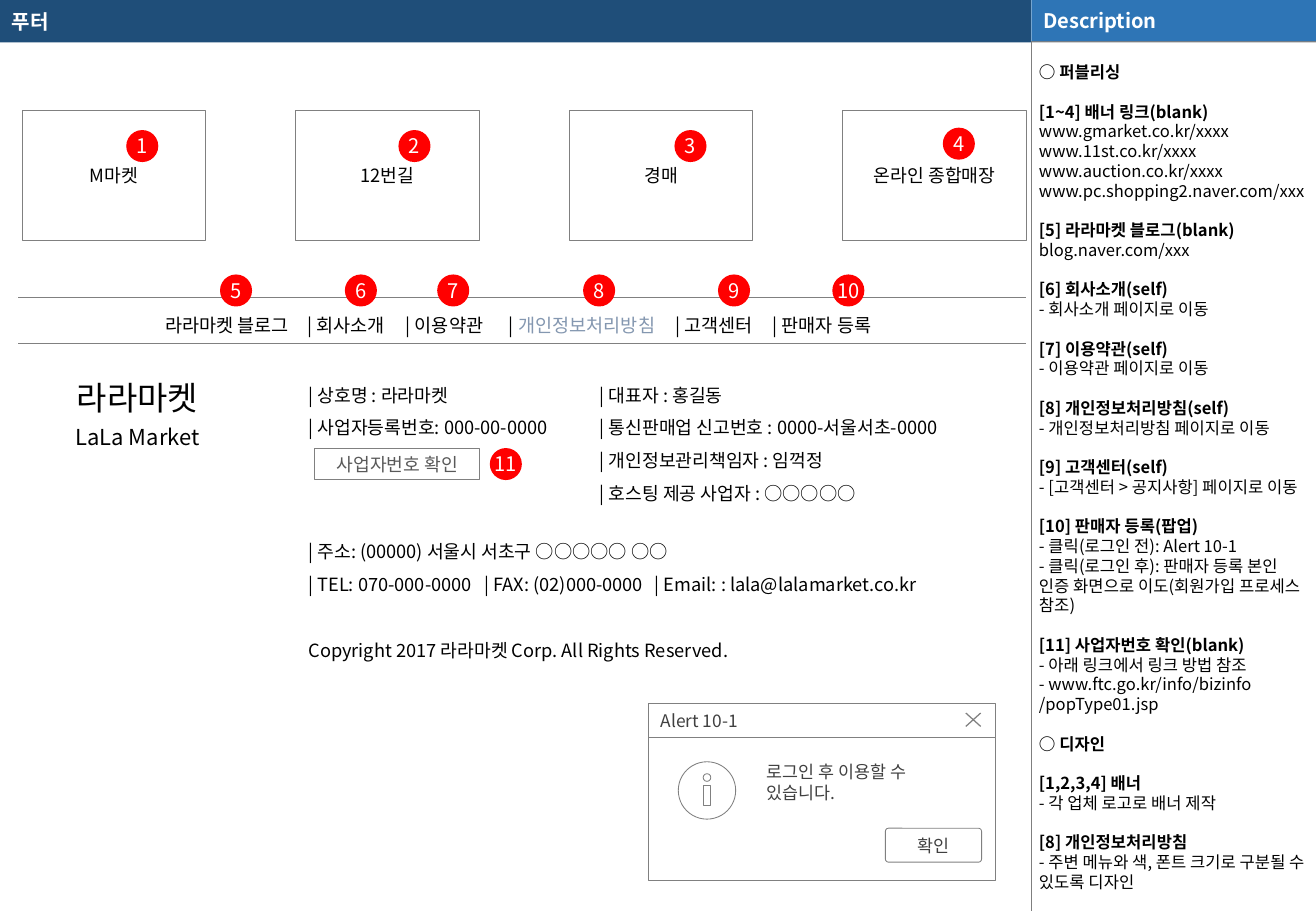
from lxml.etree import SubElement
from pptx import Presentation
from pptx.dml.color import RGBColor
from pptx.enum.shapes import MSO_CONNECTOR, MSO_SHAPE as Kind
from pptx.enum.text import MSO_ANCHOR as Anchor, PP_ALIGN as Align
from pptx.oxml.ns import qn
from pptx.util import Cm, Pt

FONT = "Noto Sans CJK KR"
GRAY = "808080"
DARK = "404040"
BLACK = "000000"
WHITE = "FFFFFF"
LINE_RATIO = 1.195
BADGE = 0.67


def rgb(value):
    return RGBColor.from_string(value)


def write(frame, lines, size, color=BLACK, bold=False, align=Align.LEFT,
          spacing=1, gaps=(), tabs=(), insets=(0.25, 0.13, 0.25, 0.13)):
    """Fill a frame; a line is a string or a list of (text, colour, bold).

    Lines whose index is in gaps follow a gap one line high.
    """
    frame.word_wrap = True
    (frame.margin_left, frame.margin_top,
     frame.margin_right, frame.margin_bottom) = map(Cm, insets)
    pitch = Pt(round(size * LINE_RATIO * spacing, 1))
    for index, line in enumerate(lines):
        para = frame.add_paragraph() if index else frame.paragraphs[0]
        para.alignment = align
        para.line_spacing = pitch
        if index in gaps:
            para.space_before = pitch
        if tabs:
            stops = SubElement(para._p.get_or_add_pPr(), qn("a:tabLst"))
            for stop in tabs:
                SubElement(stops, qn("a:tab"), pos=str(Cm(stop)), algn="l")
        font = para.font
        font.name, font.size, font.bold = FONT, Pt(size), bold
        font.color.rgb = rgb(color)
        SubElement(para._p.pPr.find(qn("a:defRPr")), qn("a:ea"), typeface=FONT)
        if isinstance(line, str):
            para.add_run().text = line
            continue
        for text, span_color, span_bold in line:
            span = para.add_run()
            span.text = text
            span.font.color.rgb = rgb(span_color)
            span.font.bold = span_bold


def add_text(page, left, top, width, height, lines, size, **style):
    box = page.shapes.add_textbox(Cm(left), Cm(top), Cm(width), Cm(height))
    write(box.text_frame, lines, size, **style)
    return box


def add_block(page, left, top, width, height, fill=None, line=None,
              kind=Kind.RECTANGLE, label=None, size=10.8, **style):
    block = page.shapes.add_shape(kind, Cm(left), Cm(top), Cm(width), Cm(height))
    block.shadow.inherit = False
    if fill:
        block.fill.solid()
        block.fill.fore_color.rgb = rgb(fill)
    else:
        block.fill.background()
    if line:
        block.line.color.rgb = rgb(line)
        block.line.width = Pt(0.5)
    else:
        block.line.fill.background()
    if label:
        write(block.text_frame, [label], size, **{"align": Align.CENTER, **style})
        block.text_frame.vertical_anchor = Anchor.MIDDLE
    return block


def add_line(page, x1, y1, x2, y2, color, width):
    line = page.shapes.add_connector(MSO_CONNECTOR.STRAIGHT,
                                     Cm(x1), Cm(y1), Cm(x2), Cm(y2))
    line.line.color.rgb = rgb(color)
    line.line.width = Pt(width)
    SubElement(line._element.spPr, qn("a:effectLst"))


def add_badge(page, left, top, number):
    badge = add_block(page, left, top, BADGE, BADGE, "FF0000", kind=Kind.OVAL,
                      label=str(number), size=11.9, color=WHITE,
                      insets=(0, 0, 0, 0))
    badge.text_frame.word_wrap = False


def add_header(page, split, width, height, page_height):
    add_block(page, 0, 0, split, height, "1F4E79")
    add_block(page, split, 0, width - split, height, GRAY)
    add_line(page, split, 0, split, height, WHITE, 0.25)
    add_line(page, split, height - 0.03, split, page_height, "7F7F7F", 0.25)
    heading = {"size": 11.9, "color": WHITE, "bold": True, "align": Align.LEFT}
    add_block(page, split, 0, width - split, height - 0.03, "2E75B6",
              label="Description", **heading)
    title = add_text(page, 0, 0, split - 0.6, height, ["푸터"], **heading)
    title.text_frame.vertical_anchor = Anchor.MIDDLE


def add_banners(page, left, top, pitch):
    banners = [("M마켓", 2.18, 0.41), ("12번길", 2.15, 0.41),
               ("경매", 2.2, 0.41), ("온라인 종합매장", 2.09, 0.36)]
    for index, (name, badge_x, badge_y) in enumerate(banners):
        x = left + index * pitch
        add_block(page, x, top, 3.84, 2.72, line=GRAY, label=name)
        add_badge(page, x + badge_x, top + badge_y, index + 1)


def add_menu(page, left, top, width, height):
    frame = page.shapes.add_table(1, 1, Cm(left), Cm(top), Cm(width), Cm(height))
    table = frame.table
    table.first_row = table.horz_banding = False
    cell = table.cell(0, 0)
    items = [("라라마켓 블로그\t| 회사소개\t| 이용약관\t| ", BLACK, False),
             ("개인정보처리방침", "8497B0", False),
             ("\t| 고객센터\t| 판매자 등록", BLACK, False)]
    write(cell.text_frame, [items], 11, spacing=1.5,
          tabs=(2.97, 5.03, 7.19, 10.67, 12.7))
    cell.margin_left, cell.margin_right = Cm(3.09), Cm(0.28)
    cell.vertical_anchor = Anchor.MIDDLE
    borders = [("L", WHITE, 1), ("R", WHITE, 1), ("T", GRAY, 0.5), ("B", GRAY, 0.5)]
    props = cell._tc.get_or_add_tcPr()
    for side, color, weight in borders:
        border = SubElement(props, qn(f"a:ln{side}"), w=str(Pt(weight)))
        SubElement(SubElement(border, qn("a:solidFill")), qn("a:srgbClr"), val=color)
    cell.fill.background()
    for number, x in enumerate((4.24, 6.85, 8.78, 11.83, 14.65, 17.04), 5):
        add_badge(page, left + x, top - 0.48, number)


def add_company(page, left, top):
    add_text(page, left, top + 0.1, 3.71, 1.09, ["라라마켓"], 19.5, align=Align.CENTER)
    add_text(page, left, top + 1.07, 3.71, 0.81, ["LaLa Market"], 13, align=Align.CENTER)
    details = left + 5.18
    add_text(page, details, top, 6.65, 1.65,
             ["| 상호명 : 라라마켓", "| 사업자등록번호: 000-00-0000"], 10.8, spacing=1.5)
    add_text(page, left + 11.27, top, 9.22, 3.02,
             ["| 대표자 : 홍길동", "| 통신판매업 신고번호 : 0000-서울서초-0000",
              "| 개인정보관리책임자 : 임꺽정", "| 호스팅 제공 사업자 : ○○○○○"],
             10.8, spacing=1.5)
    add_text(page, details, top + 3.28, 14.91, 3.02,
             ["| 주소: (00000) 서울시 서초구 ○○○○○ ○○",
              "| TEL: 070-000-0000\t| FAX: (02)000-0000\t| Email: : lala@lalamarket.co.kr",
              "Copyright 2017 라라마켓 Corp. All Rights Reserved."],
             10.8, spacing=1.5, gaps=(2,), tabs=(3.68, 7.24))
    add_block(page, details + 0.38, top + 1.7, 3.45, 0.66, line=GRAY,
              label="사업자번호 확인", color="595959")
    add_badge(page, details + 4.04, top + 1.7, 11)


def add_alert(page, left, top, width, height):
    bar = 0.71
    add_block(page, left, top + bar, width, height - bar, WHITE, GRAY)
    add_block(page, left, top, width, bar, WHITE, GRAY, label="Alert 10-1",
              size=10.3, color=DARK, align=Align.LEFT)
    x, y = left + width - 0.63, top + 0.2
    add_line(page, x, y, x + 0.31, y + 0.28, GRAY, 0.75)
    add_line(page, x, y + 0.28, x + 0.31, y, GRAY, 0.75)
    x, y = left + 0.62, top + 1.22
    add_block(page, x, y, 1.2, 1.2, line=GRAY, kind=Kind.OVAL)
    add_block(page, x + 0.52, y + 0.25, 0.16, 0.16, line=GRAY, kind=Kind.OVAL)
    add_block(page, x + 0.53, y + 0.5, 0.14, 0.41, line=GRAY)
    add_text(page, left + 2.24, top + 1.11, 4.47, 1.3,
             ["로그인 후 이용할 수 있습니다."], 10.3, color=DARK,
             insets=(0.23, 0.1, 0.23, 0.1))
    button = add_block(page, left + 4.95, top + 2.61, 2.01, 0.71, WHITE, GRAY,
                       Kind.ROUNDED_RECTANGLE, "확인", 10.3, color=DARK)
    button.adjustments[0] = 0.09


def add_description(page, left, top, width, height):
    groups = [
        ("○ 퍼블리싱",),
        ("[1~4] 배너 링크(blank)", "www.gmarket.co.kr/xxxx", "www.11st.co.kr/xxxx",
         "www.auction.co.kr/xxxx", "www.pc.shopping2.naver.com/xxx"),
        ("[5] 라라마켓 블로그(blank)", "blog.naver.com/xxx"),
        ("[6] 회사소개(self)", "- 회사소개 페이지로 이동"),
        ("[7] 이용약관(self)", "- 이용약관 페이지로 이동"),
        ("[8] 개인정보처리방침(self)", "- 개인정보처리방침 페이지로 이동"),
        ("[9] 고객센터(self)", "- [고객센터 > 공지사항] 페이지로 이동"),
        ("[10] 판매자 등록(팝업)", "- 클릭(로그인 전): Alert 10-1",
         "- 클릭(로그인 후): 판매자 등록 본인 인증 화면으로 이도(회원가입 프로세스 참조)"),
        ("[11] 사업자번호 확인(blank)", "- 아래 링크에서 링크 방법 참조",
         "- www.ftc.go.kr/info/bizinfo", "/popType01.jsp"),
        ("○ 디자인",),
        ("[1,2,3,4] 배너", "- 각 업체 로고로 배너 제작"),
        ("[8] 개인정보처리방침", "- 주변 메뉴와 색, 폰트 크기로 구분될 수 있도록 디자인"),
    ]
    lines, gaps = [], []
    for heading, *notes in groups:
        if lines:
            gaps.append(len(lines))
        lines.append([(heading, BLACK, True)])
        lines.extend(notes)
    add_text(page, left, top, width, height, lines, 9.8, gaps=gaps,
             insets=(0.1, 0, 0.1, 0))


def main():
    deck = Presentation()
    deck.slide_width, deck.slide_height = Cm(27.51), Cm(19.05)
    page = deck.slides.add_slide(deck.slide_layouts[6])
    add_header(page, 21.56, 27.51, 0.89, 19.05)
    add_banners(page, 0.46, 2.31, 5.72)
    add_menu(page, 0.36, 6.22, 21.11, 0.97)
    add_company(page, 1.02, 7.67)
    add_alert(page, 13.56, 14.71, 7.26, 3.71)
    add_description(page, 21.62, 1.3, 5.89, 17.75)
    deck.save("out.pptx")


if __name__ == "__main__":
    main()
